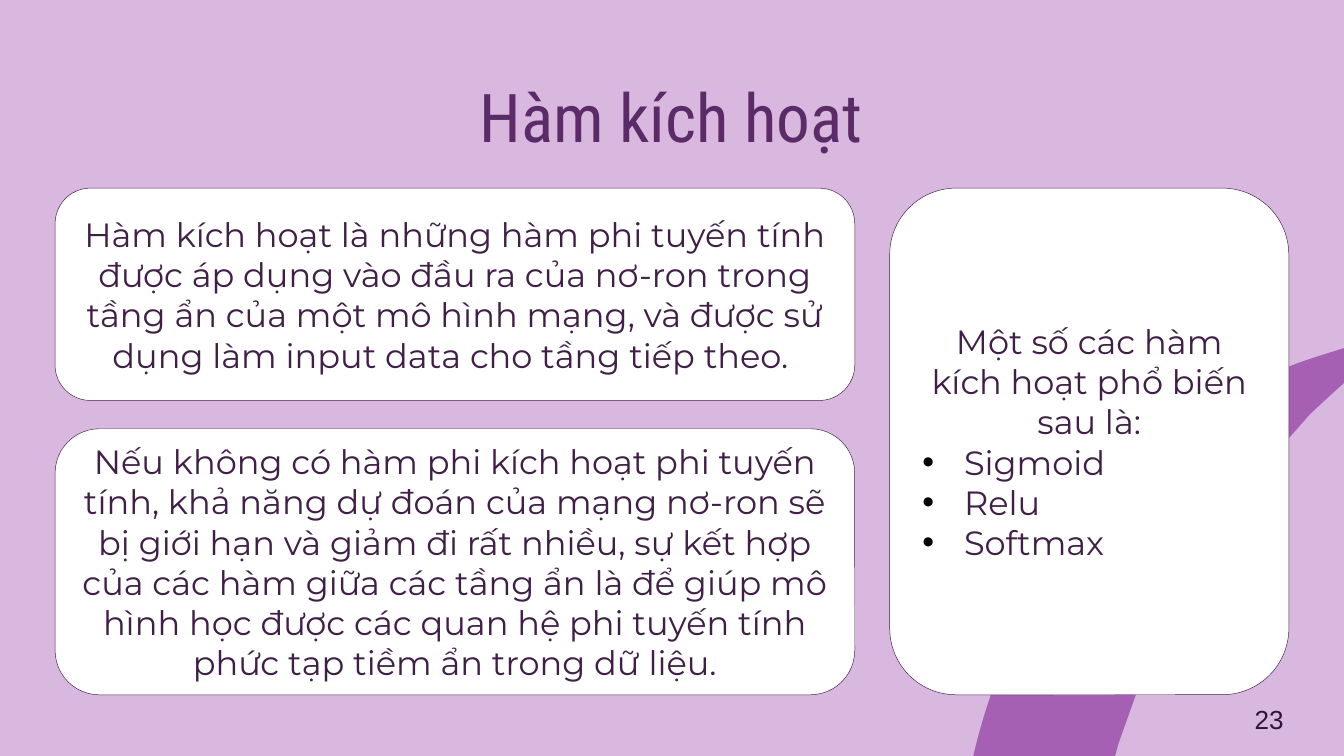
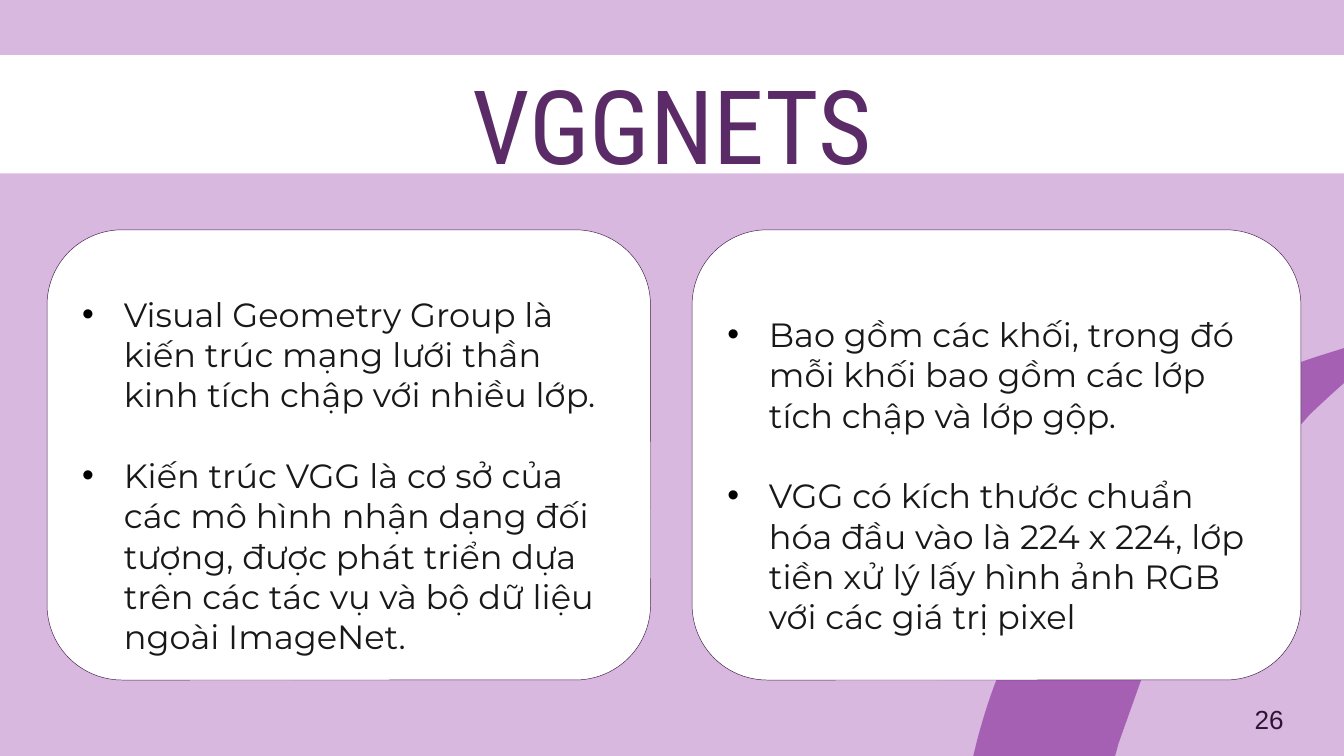
from lxml.etree import SubElement
from pptx import Presentation
from pptx.dml.color import RGBColor
from pptx.enum.shapes import MSO_SHAPE
from pptx.enum.text import MSO_ANCHOR, PP_ALIGN
from pptx.oxml.ns import qn
from pptx.util import Inches, Pt

COLORS = {
    "back": "D9B8E0", "ribbon": "A560B3", "card": "FFFFFF", "edge": "43204B",
    "title": "5A2B66", "plum": "401F47", "ink": "181818", "page": "2D1533",
    "dot": "000000",
}
HEAD, BODY, FOOT = "Roboto Condensed", "Montserrat", "Arial"
HANG = Inches(0.31)
LINE = 0.3  # height of one body line, in inches

# Bezier segments of the ribbon: two control points and an end point
START = (8.54, 3.37)
CURVES = [
    ((8.73, 3.19), (8.95, 3.03), (9.18, 2.91)),
    ((9.38, 2.81), (9.59, 2.72), (9.81, 2.65)),
    ((10.13, 2.55), (10.46, 2.45), (10.78, 2.32)),
    ((10.6, 2.4), (10.42, 2.52), (10.25, 2.65)),
    ((10.07, 2.78), (9.91, 2.93), (9.75, 3.08)),
    ((8.65, 4.19), (8.14, 5.71), (7.99, 7.19)),
    ((7.99, 7.19), (7.13, 6.32), (7.13, 6.32)),
    ((7.16, 6.05), (7.2, 5.78), (7.27, 5.51)),
    ((7.32, 5.32), (7.38, 5.13), (7.46, 4.95)),
    ((7.54, 4.75), (7.63, 4.56), (7.74, 4.37)),
    ((7.86, 4.18), (7.99, 3.99), (8.13, 3.82)),
    ((8.26, 3.66), (8.4, 3.51), START),
]


def color(name):
    return RGBColor.from_string(COLORS[name])


def paint(shape, fill, edge=None):
    shape.shadow.inherit = False
    shape.fill.solid()
    shape.fill.fore_color.rgb = color(fill)
    if edge:
        shape.line.color.rgb = color(edge)
        shape.line.width = Pt(0.25)
    else:
        shape.line.fill.background()


def bullet(para):
    props = para._p.get_or_add_pPr()
    props.set("marL", str(HANG))
    props.set("indent", str(-HANG))
    tint = SubElement(props, qn("a:buClr"))
    SubElement(tint, qn("a:srgbClr"), val=COLORS["dot"])
    SubElement(props, qn("a:buFont"), typeface=FOOT)
    SubElement(props, qn("a:buChar"), char="•")


def write(shape, text, size=18, font=BODY, tint="plum", align=PP_ALIGN.CENTER,
          dots=False, gap=0):
    """Add one paragraph, filling the empty first one if there is one."""
    frame = shape.text_frame
    frame.word_wrap = True
    first = not frame.text
    para = frame.paragraphs[0] if first else frame.add_paragraph()
    if dots:
        bullet(para)
    para.alignment = PP_ALIGN.LEFT if dots else align
    if gap and not first:
        para.space_before = Pt(gap)
    run = para.add_run()
    run.text = text
    run.font.size = Pt(size)
    run.font.name = font
    run.font.color.rgb = color(tint)


def label(slide, box, text, anchor=MSO_ANCHOR.TOP, pad=0.05, **style):
    shape = slide.shapes.add_textbox(*map(Inches, box))
    frame = shape.text_frame
    frame.vertical_anchor = anchor
    frame.margin_top = frame.margin_bottom = Inches(pad)
    write(shape, text, **style)


def title(slide, box, text, size, pad=0.05):
    label(slide, box, text, pad=pad, size=size, font=HEAD, tint="title")


def card(slide, box, drop=0):
    """Add a rounded white card whose text starts lower by drop inches."""
    shape = slide.shapes.add_shape(MSO_SHAPE.ROUNDED_RECTANGLE, *map(Inches, box))
    paint(shape, "card", "edge")
    shape.text_frame.vertical_anchor = MSO_ANCHOR.MIDDLE
    shape.text_frame.margin_top = Inches(0.05 + drop)
    return shape


def trace(steps=8):
    """Return the points along the ribbon's outline, in EMU."""
    points, begin = [], START
    for one, two, end in CURVES:
        for step in range(1, steps + 1):
            t = step / steps
            u = 1 - t
            points.append(tuple(
                Inches(u**3 * a + 3 * u * u * t * b + 3 * u * t * t * c + t**3 * d)
                for a, b, c, d in zip(begin, one, two, end)))
        begin = end
    return points


def ribbon(slide):
    build = slide.shapes.build_freeform(*map(Inches, START))
    build.add_line_segments(trace(), close=True)
    paint(build.convert_to_shape(), "ribbon")


def base(deck):
    slide = deck.slides.add_slide(deck.slide_layouts[6])
    slide.background.fill.solid()
    slide.background.fill.fore_color.rgb = color("back")
    ribbon(slide)
    return slide


def number(slide, page):
    label(slide, (7.4, 5.2, 2.25, 0.3), page, anchor=MSO_ANCHOR.MIDDLE,
          size=14, font=FOOT, tint="page", align=PP_ALIGN.RIGHT)


def active(deck):
    slide = base(deck)
    title(slide, (2.33, 0.46, 5.33, 0.63), "Hàm kích hoạt", 36, pad=0.1)
    for top, high, text in (
        (1.4, 1.58, "Hàm kích hoạt là những hàm phi tuyến tính được áp dụng vào "
                    "đầu ra của nơ-ron trong tầng ẩn của một mô hình mạng, và "
                    "được sử dụng làm input data cho tầng tiếp theo. "),
        (3.19, 1.98, "Nếu không có hàm phi kích hoạt phi tuyến tính, khả năng dự "
                     "đoán của mạng nơ-ron sẽ bị giới hạn và giảm đi rất nhiều, "
                     "sự kết hợp của các hàm giữa các tầng ẩn là để giúp mô hình "
                     "học được các quan hệ phi tuyến tính phức tạp tiềm ẩn trong "
                     "dữ liệu."),
    ):
        write(card(slide, (0.41, top, 5.95, high)), text)
    side = card(slide, (6.62, 1.4, 2.97, 3.77))
    write(side, "Một số các hàm kích hoạt phổ biến sau là:")
    for name in ("Sigmoid", "Relu", "Softmax"):
        write(side, name, dots=True)
    number(slide, "23")


def nets(deck):
    slide = base(deck)
    band = slide.shapes.add_shape(
        MSO_SHAPE.RECTANGLE, *map(Inches, (-0.33, 0.41, 10.76, 0.88)))
    paint(band, "card")
    title(slide, (1.83, 0.41, 6.34, 1.03), "VGGNETS", 55)
    for left, wide, items in (
        (0.35, 4.49, (
            "Visual Geometry Group là kiến trúc mạng lưới thần kinh tích chập "
            "với nhiều lớp.",
            "Kiến trúc VGG là cơ sở của các mô hình nhận dạng đối tượng, được "
            "phát triển dựa trên các tác vụ và bộ dữ liệu ngoài ImageNet.")),
        (5.15, 4.53, (
            "Bao gồm các khối, trong đó mỗi khối bao gồm các lớp tích chập và "
            "lớp gộp.",
            "VGG có kích thước chuẩn hóa đầu vào là 224 x 224, lớp tiền xử lý "
            "lấy hình ảnh RGB với các giá trị pixel")),
    ):
        panel = card(slide, (left, 1.71, wide, 3.35), drop=LINE)
        for item in items:
            write(panel, item, tint="ink", dots=True, gap=LINE * 72)
    number(slide, "26")


def main():
    deck = Presentation()
    deck.slide_width = Inches(10)
    deck.slide_height = Inches(10 * 9 / 16)
    active(deck)
    nets(deck)
    deck.save("out.pptx")


if __name__ == "__main__":
    main()
